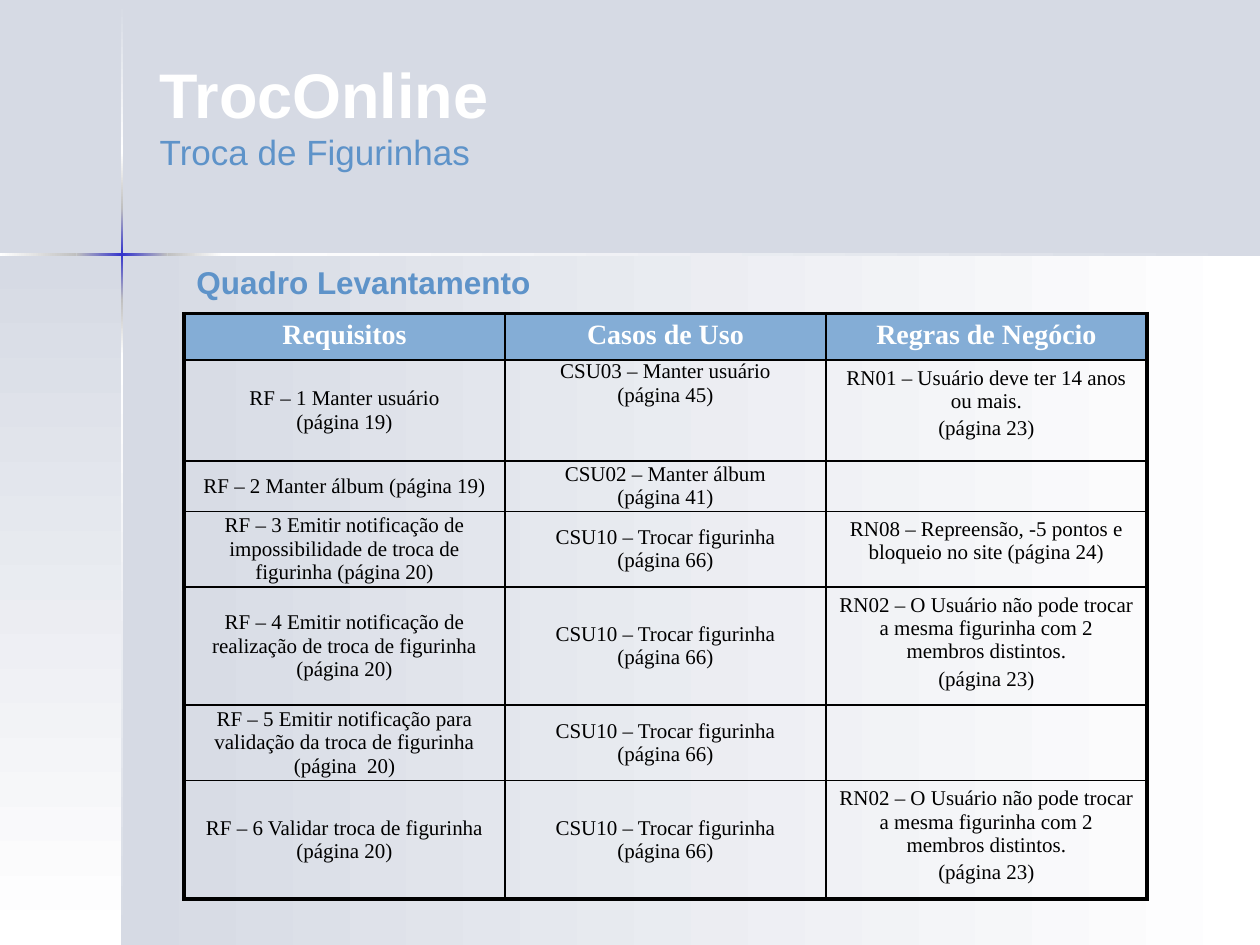
from copy import deepcopy
from itertools import pairwise
from lxml.etree import SubElement
from pptx import Presentation
from pptx.dml.color import RGBColor
from pptx.enum.shapes import MSO_SHAPE
from pptx.enum.text import MSO_ANCHOR, PP_ALIGN
from pptx.oxml.ns import qn
from pptx.util import Cm, Pt

PALE, WHITE, GREY, NAVY = "D6DAE4", "FFFFFF", "C0C0C0", "3333CC"
BLUE, HEAD, BLACK = "5E93C9", "84ADD6", "000000"


def color(code):
    return RGBColor.from_string(code)


class Deck:
    sans, serif = "Arial", "Times New Roman"

    def __init__(self, width, height):
        self.prs = Presentation()
        self.prs.slide_width, self.prs.slide_height = Cm(width), Cm(height)
        self.slide = self.prs.slides.add_slide(self.prs.slide_layouts[6])
        self.slide.background.fill.solid()
        self.slide.background.fill.fore_color.rgb = color(PALE)

    def style(self, font, name, size, tint, bold=False):
        font.name, font.size, font.bold = name, Pt(size), bold
        font.color.rgb = color(tint)

    def blend(self, box, tints, angle=0):
        shape = self.slide.shapes.add_shape(MSO_SHAPE.RECTANGLE, *map(Cm, box))
        shape.shadow.inherit = False
        shape.line.fill.background()
        fill = shape.fill
        fill.gradient()
        fill.gradient_angle = angle
        if len(tints) == 3:
            stops = shape._element.spPr.find(".//" + qn("a:gsLst"))
            middle = deepcopy(stops[0])
            middle.set("pos", "50000")
            stops.insert(1, middle)
        for stop, tint in zip(fill.gradient_stops, tints):
            stop.color.rgb = color(tint)

    def text(self, box, lines, top=0.13):
        frame = self.slide.shapes.add_textbox(*map(Cm, box)).text_frame
        frame.word_wrap = True
        frame.margin_top = Cm(top)
        para = frame.paragraphs[0]
        for index, (words, size, tint, bold) in enumerate(lines):
            if index:
                para.add_line_break()
            run = para.add_run()
            run.text = words
            self.style(run.font, self.sans, size, tint, bold)

    def border(self, cell, widths):
        props = cell._tc.get_or_add_tcPr()
        for side, width in zip("LRTB", widths):
            line = SubElement(props, qn("a:ln" + side), w=str(Pt(width)))
            fill = SubElement(line, qn("a:solidFill"))
            SubElement(fill, qn("a:srgbClr"), val=BLACK)

    def cell(self, cell, words, head, rule, anchor):
        if head:
            cell.fill.solid()
            cell.fill.fore_color.rgb = color(HEAD)
        else:
            cell.fill.background()
        cell.vertical_anchor = anchor
        if not rule:
            cell.margin_left = cell.margin_right = Cm(0.18)
            cell.margin_top = cell.margin_bottom = 0
        cell.text = words
        for index, para in enumerate(cell.text_frame.paragraphs):
            para.alignment = PP_ALIGN.CENTER
            if rule and index:
                para.space_before = Pt(2.4)
            if head:
                self.style(para.font, self.serif, 16, WHITE, True)
            else:
                self.style(para.font, self.serif, 12, BLACK)

    def table(self, box, heights, data):
        rows, cols = len(data), len(data[0])
        frame = self.slide.shapes.add_table(rows, cols, *map(Cm, box))
        table = frame.table
        table.first_row = table.horz_banding = False
        for row, height in zip(table.rows, heights):
            row.height = Cm(height)
        for r, line in enumerate(data):
            for c, words in enumerate(line):
                cell = table.cell(r, c)
                edges = c == 0, c == cols - 1, r == 0, r == rows - 1
                self.border(cell, [2.25 if edge else 1 for edge in edges])
                head, rule = r == 0, r == 0 or c == 2
                high = rule or (r, c) == (1, 1)
                anchor = MSO_ANCHOR.TOP if high else MSO_ANCHOR.MIDDLE
                self.cell(cell, words, head, rule, anchor)


deck = Deck(25.4, 19.05)
deck.blend((2.46, 5.13, 22.94, 13.92), (PALE, WHITE))
deck.blend((0, 5.13, 2.46, 13.92), (PALE, WHITE), 270)

fades = [(PALE, WHITE), (WHITE, GREY), (GREY, NAVY, GREY), (GREY, WHITE), (WHITE, PALE)]
for (top, end), tints in zip(pairwise([0.03, 3.07, 4.19, 6.05, 7.16, 19.05]), fades):
    deck.blend((2.44, top, 0.05, end - top), tints, 270)
for (left, end), tints in zip(pairwise([0, 1.54, 3.38, 4.5, 25.4]), fades[1:]):
    deck.blend((left, 5.11, end - left, 0.05), tints)

deck.text((3.71, 5.17, 15.4, 1.02), [("Quadro Levantamento", 18, BLUE, True)])

swap = "CSU10 – Trocar figurinha\n(página 66)"
limit = ("RN02 – O Usuário não pode trocar a mesma figurinha "
         "com 2 membros distintos.\n(página 23)")
data = [
    ("Requisitos", "Casos de Uso", "Regras de Negócio"),
    ("RF – 1 Manter usuário\n(página 19)",
     "CSU03 – Manter usuário\n(página 45)",
     "RN01 – Usuário deve ter 14 anos ou mais.\n(página 23)"),
    ("RF – 2 Manter álbum (página 19)",
     "CSU02 – Manter álbum\n(página 41)", ""),
    ("RF – 3 Emitir notificação de impossibilidade de troca de "
     "figurinha (página 20)", swap,
     "RN08 – Repreensão, -5 pontos e bloqueio no site (página 24)"),
    ("RF – 4 Emitir notificação de realização de troca de figurinha\n"
     "(página 20)", swap, limit),
    ("RF – 5 Emitir notificação para validação da troca de figurinha\n"
     "(página  20)", swap, ""),
    ("RF – 6 Validar troca de figurinha\n(página 20)", swap, limit),
]
heights = [0.94, 2.03, 1.02, 1.52, 2.38, 1.52, 2.38]
deck.table((3.71, 6.32, 19.41, sum(heights)), heights, data)

deck.text((2.97, 0.84, 20.96, 3.48),
          [("TrocOnline", 36, WHITE, True),
           ("Troca de Figurinhas", 20, BLUE, False)], 0.27)

deck.prs.save("out.pptx")
